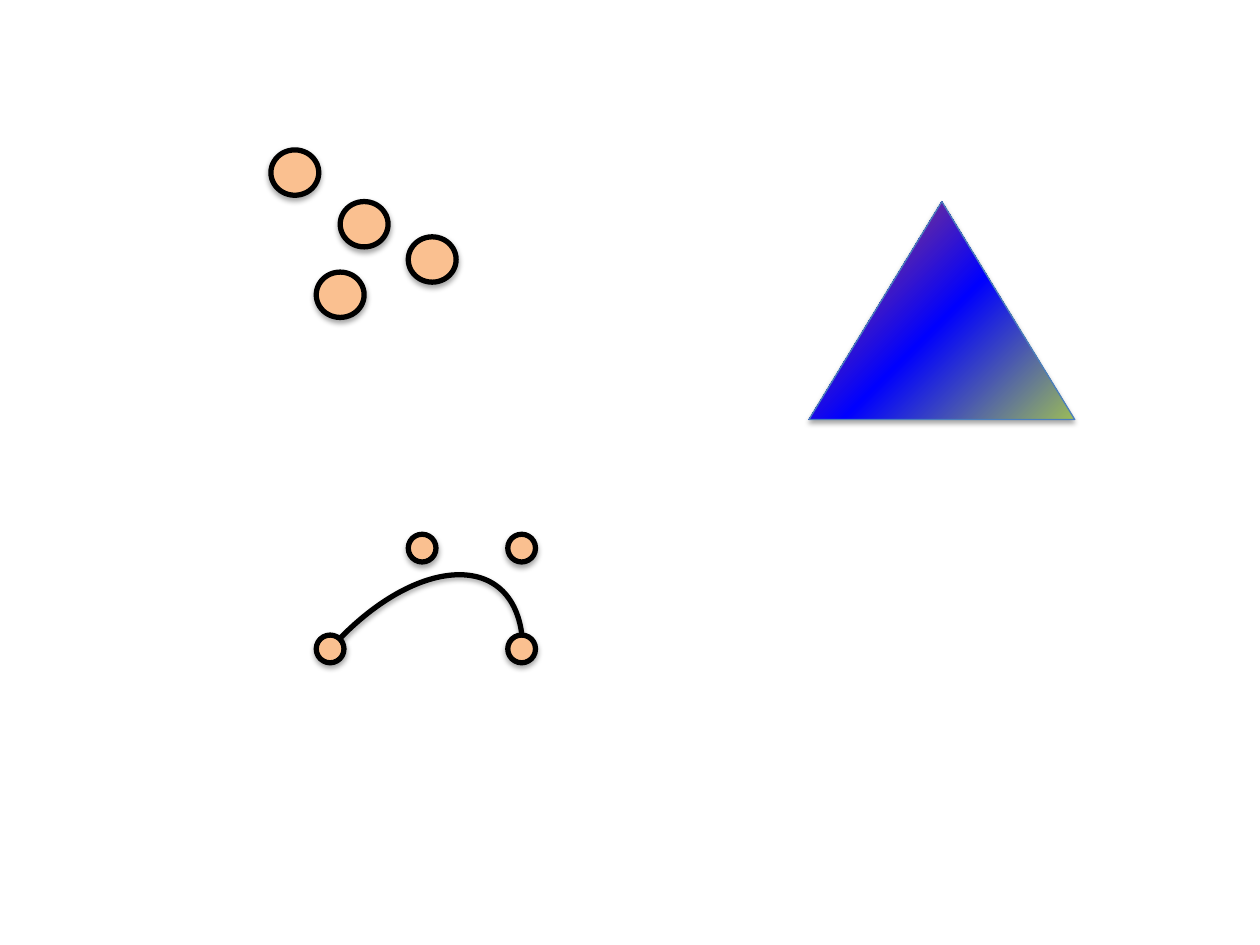
from dataclasses import dataclass

from lxml import etree
from pptx import Presentation
from pptx.dml.color import RGBColor
from pptx.enum.shapes import MSO_SHAPE
from pptx.oxml import parse_xml
from pptx.oxml.ns import nsdecls, qn
from pptx.shapes.autoshape import Shape
from pptx.slide import Slide
from pptx.util import Inches, Pt

OVAL = MSO_SHAPE.OVAL
TRIANGLE = MSO_SHAPE.ISOSCELES_TRIANGLE

COLORS = {
    "dot": "FAC090",
    "outline": "000000",
    "edge": "4B7EBC",
    "red": "C0504D",
    "blue": "0000FF",
    "green": "9BBB59",
}
GRADIENT = ((0, "red"), (52, "blue"), (100, "green"))
Point = tuple[float, float]


@dataclass(frozen=True)
class Dot:
    left: float
    top: float
    width: float
    height: float


@dataclass(frozen=True)
class Curve:
    start: Point
    first_control: Point
    second_control: Point
    end: Point
    top: float


SCATTERED_DOTS = [
    Dot(left, top, 0.38, 0.36)
    for left, top in ((2.15, 1.19), (2.51, 2.16), (3.24, 1.88), (2.7, 1.6))
]
CONTROL_DOTS = [Dot(left, 4.24, 0.22, 0.22) for left in (3.24, 4.03)]
END_DOTS = [Dot(left, 5.04, 0.22, 0.22) for left in (2.51, 4.03)]
ARCH = Curve((2.62, 5.15), (3.32, 4.37), (4.14, 4.36), (4.15, 5.15), 4.56)


def style_outline(shape: Shape, color: str, width: float) -> None:
    shape.line.color.rgb = RGBColor.from_string(COLORS[color])
    shape.line.width = Pt(width)
    shape.shadow.inherit = False
    effects = shape._element.spPr.find(qn("a:effectLst"))
    effects.append(parse_xml(
        f'<a:outerShdw {nsdecls("a")} blurRad="{Pt(3.1)}" dist="{Pt(1.8)}" '
        'dir="5400000" rotWithShape="0"><a:srgbClr val="000000">'
        '<a:alpha val="35000"/></a:srgbClr></a:outerShdw>'
    ))


def draw_dots(slide: Slide, dots: list[Dot]) -> None:
    for dot in dots:
        shape = slide.shapes.add_shape(
            OVAL, Inches(dot.left), Inches(dot.top),
            Inches(dot.width), Inches(dot.height),
        )
        shape.fill.solid()
        shape.fill.fore_color.rgb = RGBColor.from_string(COLORS["dot"])
        style_outline(shape, "outline", 3)


def draw_curve(slide: Slide, curve: Curve) -> None:
    left, top = curve.start[0], curve.top
    middle = (left + curve.end[0]) / 2
    builder = slide.shapes.build_freeform(
        Inches(left), Inches(curve.start[1])
    )
    builder.add_line_segments(
        [(Inches(x), Inches(y)) for x, y in ((middle, top), curve.end)],
        close=False,
    )
    shape = builder.convert_to_shape()
    outline = shape._element.spPr.find(".//" + qn("a:path"))
    for segment in outline.findall(qn("a:lnTo")):
        outline.remove(segment)
    bezier = etree.SubElement(outline, qn("a:cubicBezTo"))
    for x, y in (curve.first_control, curve.second_control, curve.end):
        etree.SubElement(
            bezier, qn("a:pt"),
            x=str(Inches(x) - Inches(left)), y=str(Inches(y) - Inches(top)),
        )
    shape.fill.background()
    style_outline(shape, "outline", 3)


def draw_triangle(slide: Slide) -> None:
    shape = slide.shapes.add_shape(
        TRIANGLE, Inches(6.42), Inches(1.6), Inches(2.11), Inches(1.73)
    )
    stops = "".join(
        f'<a:gs pos="{position * 1000}"><a:srgbClr val="{COLORS[color]}"/></a:gs>'
        for position, color in GRADIENT
    )
    geometry = shape._element.spPr.find(qn("a:prstGeom"))
    geometry.addnext(parse_xml(
        f'<a:gradFill {nsdecls("a")} rotWithShape="1"><a:gsLst>{stops}</a:gsLst>'
        '<a:path path="circle"><a:fillToRect r="100000" b="100000"/></a:path>'
        '</a:gradFill>'
    ))
    style_outline(shape, "edge", 0.75)


presentation = Presentation()
presentation.slide_width = Inches(10)
presentation.slide_height = Inches(7.5)
slide = presentation.slides.add_slide(presentation.slide_layouts[6])

draw_dots(slide, SCATTERED_DOTS + CONTROL_DOTS)
draw_curve(slide, ARCH)
draw_dots(slide, END_DOTS)
draw_triangle(slide)

presentation.save("out.pptx")
